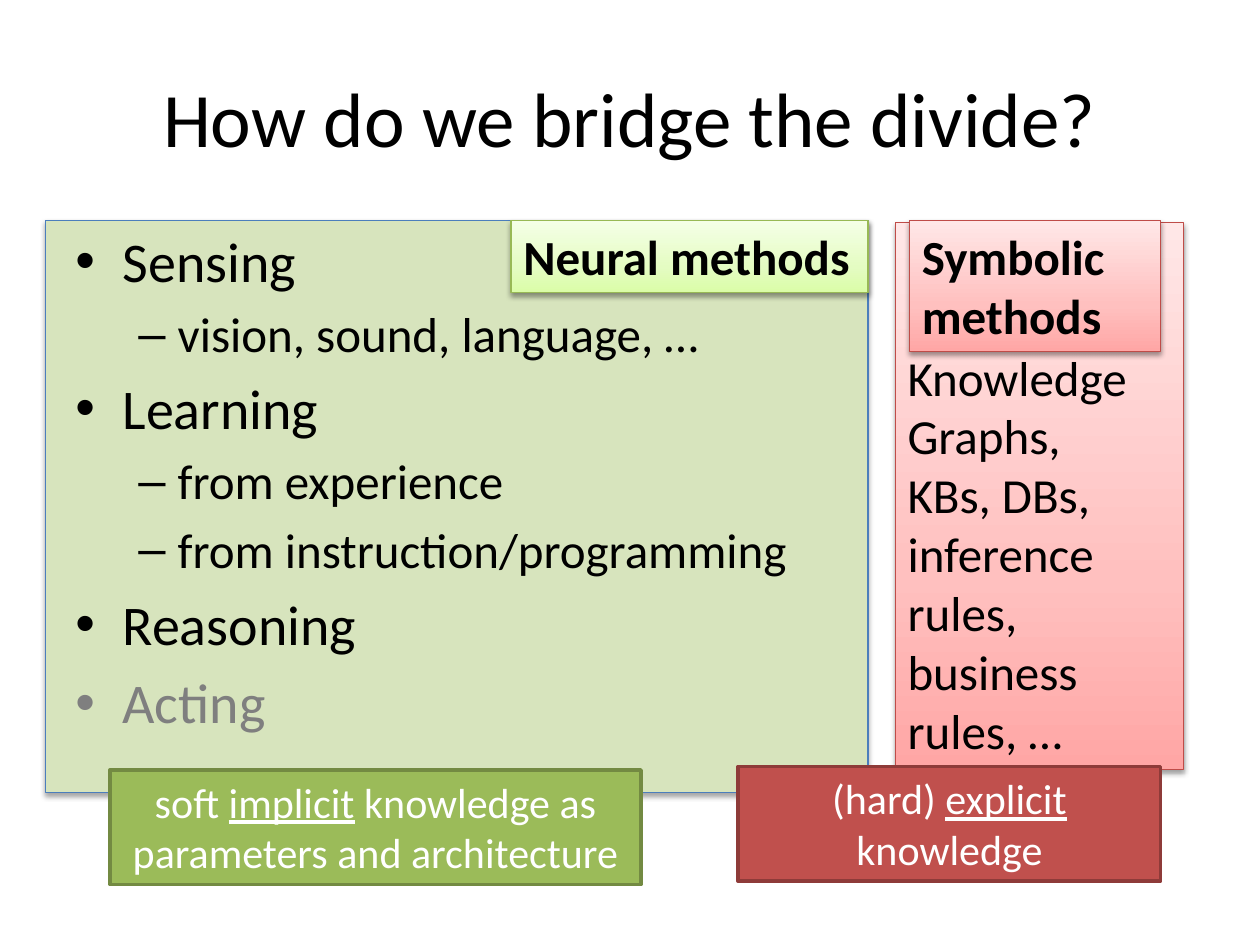
from copy import deepcopy

from lxml import etree
from pptx import Presentation
from pptx import util as u
from pptx.dml.color import RGBColor
from pptx.enum import shapes, text
from pptx.oxml import ns, parse_xml

Pt = u.Pt
BLACK = RGBColor(0x00, 0x00, 0x00)
WHITE = RGBColor(0xFF, 0xFF, 0xFF)
GRAY = RGBColor(0x7F, 0x7F, 0x7F)
PALE_GREEN = RGBColor(0xD7, 0xE4, 0xBD)
BLUE_EDGE = RGBColor(0x4B, 0x7E, 0xBC)
GREEN = RGBColor(0x9B, 0xBB, 0x59)
GREEN_EDGE = RGBColor(0x73, 0x8A, 0x42)
LIME_EDGE = RGBColor(0x98, 0xB9, 0x55)
RED = RGBColor(0xC0, 0x50, 0x4D)
RED_EDGE = RGBColor(0x8E, 0x3B, 0x39)
PINK_EDGE = RGBColor(0xBF, 0x4C, 0x48)
LIME_FADE = (RGBColor(0xDA, 0xFD, 0xA7), RGBColor(0xE4, 0xFC, 0xC2), RGBColor(0xF5, 0xFF, 0xE7))
PINK_FADE = (RGBColor(0xFF, 0xA6, 0xA5), RGBColor(0xFF, 0xC0, 0xBF), RGBColor(0xFF, 0xE7, 0xE7))
FADE_POSITIONS = (0, 0.35, 1)

# Level: (text size, left margin, hanging indent, bullet)
LEVELS = ((32, 27, 27, "•"), (28, 58.5, 22.5, "–"))

SHADOW = (
    f'<a:effectLst {ns.nsdecls("a")}>'
    '<a:outerShdw blurRad="{blur}" dist="{distance}" dir="5400000" rotWithShape="0">'
    '<a:srgbClr val="000000"><a:alpha val="{alpha}"/></a:srgbClr>'
    "</a:outerShdw></a:effectLst>"
)


class SlideBuilder:
    font_name = "Calibri"

    def __init__(self, slide):
        self.slide = slide

    def add_runs(self, paragraph, runs, color=BLACK, **font_format):
        """Add runs to a paragraph; a run is a string or (string, extra format)."""
        for run_content in runs:
            content, extra = (run_content, {}) if isinstance(run_content, str) else run_content
            run = paragraph.add_run()
            run.text = content
            values = {"name": self.font_name, **font_format, **extra}
            for name, value in values.items():
                setattr(run.font, name, value)
            run.font.color.rgb = color

    def fill_frame(self, frame, lines, align=text.PP_ALIGN.LEFT, **font_format):
        for index, runs in enumerate(lines):
            paragraph = frame.add_paragraph() if index else frame.paragraphs[0]
            paragraph.alignment = align
            self.add_runs(paragraph, runs, **font_format)

    def text_box(self, left, top, width, height):
        frame = self.slide.shapes.add_textbox(Pt(left), Pt(top), Pt(width), Pt(height)).text_frame
        frame.word_wrap = True
        return frame

    def title(self, content, *box):
        frame = self.text_box(*box)
        frame.vertical_anchor = text.MSO_ANCHOR.MIDDLE
        self.fill_frame(frame, [[content]], text.PP_ALIGN.CENTER, size=Pt(44))

    def outline(self, items, *box):
        """Bulleted list of (level, content, color)."""
        frame = self.text_box(*box)
        for index, (level, content, color) in enumerate(items):
            size, margin, hanging, bullet = LEVELS[level]
            paragraph = frame.add_paragraph() if index else frame.paragraphs[0]
            paragraph.level = level
            paragraph.space_before = Pt(0.2 * size if index else 0)
            self.add_runs(paragraph, [content], size=Pt(size), color=color)
            properties = paragraph._p.get_or_add_pPr()
            properties.set("marL", str(Pt(margin)))
            properties.set("indent", str(-Pt(hanging)))
            etree.SubElement(properties, ns.qn("a:buFont")).set("typeface", "Arial")
            etree.SubElement(properties, ns.qn("a:buChar")).set("char", bullet)

    def rectangle(self, left, top, width, height, fill, edge, weight=0.75):
        """Rectangle with a plain fill, or a fade from bottom to top."""
        shape = self.slide.shapes.add_shape(
            shapes.MSO_SHAPE.RECTANGLE, Pt(left), Pt(top), Pt(width), Pt(height))
        shape.shadow.inherit = False
        shape.line.color.rgb = edge
        shape.line.width = Pt(weight)
        if isinstance(fill, RGBColor):
            shape.fill.solid()
            shape.fill.fore_color.rgb = fill
        else:
            self.fade(shape, fill)
        frame = shape.text_frame
        frame.word_wrap = True
        frame.vertical_anchor = text.MSO_ANCHOR.TOP
        return shape

    def fade(self, shape, colors):
        shape.fill.gradient()
        shape.fill.gradient_angle = 90
        stop_list = shape._element.spPr.find(".//" + ns.qn("a:gsLst"))
        stop_list.append(deepcopy(stop_list[0]))
        for stop, color, position in zip(shape.fill.gradient_stops, colors, FADE_POSITIONS):
            stop.color.rgb = color
            stop.position = position

    def drop_shadow(self, shape, distance=1.6, opacity=38):
        properties = shape._element.spPr
        properties.replace(properties.find(ns.qn("a:effectLst")), parse_xml(SHADOW.format(
            blur=Pt(3.1), distance=Pt(distance), alpha=opacity * 1000)))

    def panel(self, *box, fill, edge, lines=(), top_inset=3.6, wrap=True, bold=False, **shadow):
        shape = self.rectangle(*box, fill, edge)
        self.drop_shadow(shape, **shadow)
        frame = shape.text_frame
        frame.word_wrap = wrap
        frame.margin_top = Pt(top_inset)
        self.fill_frame(frame, [[line] for line in lines], size=Pt(28), bold=bold)

    def caption(self, *box, fill, edge, runs):
        shape = self.rectangle(*box, fill, edge, weight=2)
        self.fill_frame(shape.text_frame, [runs], text.PP_ALIGN.CENTER, size=Pt(24), color=WHITE)


def main():
    presentation = Presentation()
    presentation.slide_width, presentation.slide_height = Pt(720), Pt(540)
    builder = SlideBuilder(presentation.slides.add_slide(presentation.slide_layouts[6]))
    underlined = {"underline": True}

    builder.panel(26, 126, 470, 327, fill=PALE_GREEN, edge=BLUE_EDGE, distance=1.8, opacity=35)
    builder.title("How do we bridge the divide?", 36, 21.6, 648, 90)
    builder.outline([
        (0, "Sensing", BLACK),
        (1, "vision, sound, language, …", BLACK),
        (0, "Learning", BLACK),
        (1, "from experience", BLACK),
        (1, "from instruction/programming", BLACK),
        (0, "Reasoning", BLACK),
        (0, "Acting", GRAY),
    ], 36, 126, 648, 356.4)
    builder.panel(511.5, 127.3, 165, 312.5, fill=PINK_FADE, edge=PINK_EDGE, top_inset=71,
                  lines=["Knowledge", "Graphs,", "KBs, DBs,",
                         "inference rules, business rules, …"])
    builder.panel(292, 126, 204, 41.2, fill=LIME_FADE, edge=LIME_EDGE,
                  lines=["Neural methods"], wrap=False, bold=True)
    builder.caption(62.8, 440, 303.5, 65.5, fill=GREEN, edge=GREEN_EDGE, runs=[
        "soft ", ("implicit", underlined), " knowledge as parameters and architecture"])
    builder.caption(421.8, 438, 241.5, 65.5, fill=RED, edge=RED_EDGE, runs=[
        "(hard) ", ("explicit", underlined), " knowledge"])
    builder.panel(519.7, 126, 143.6, 75, fill=PINK_FADE, edge=PINK_EDGE,
                  lines=["Symbolic", "methods"], bold=True)

    presentation.save("out.pptx")


if __name__ == "__main__":
    main()
